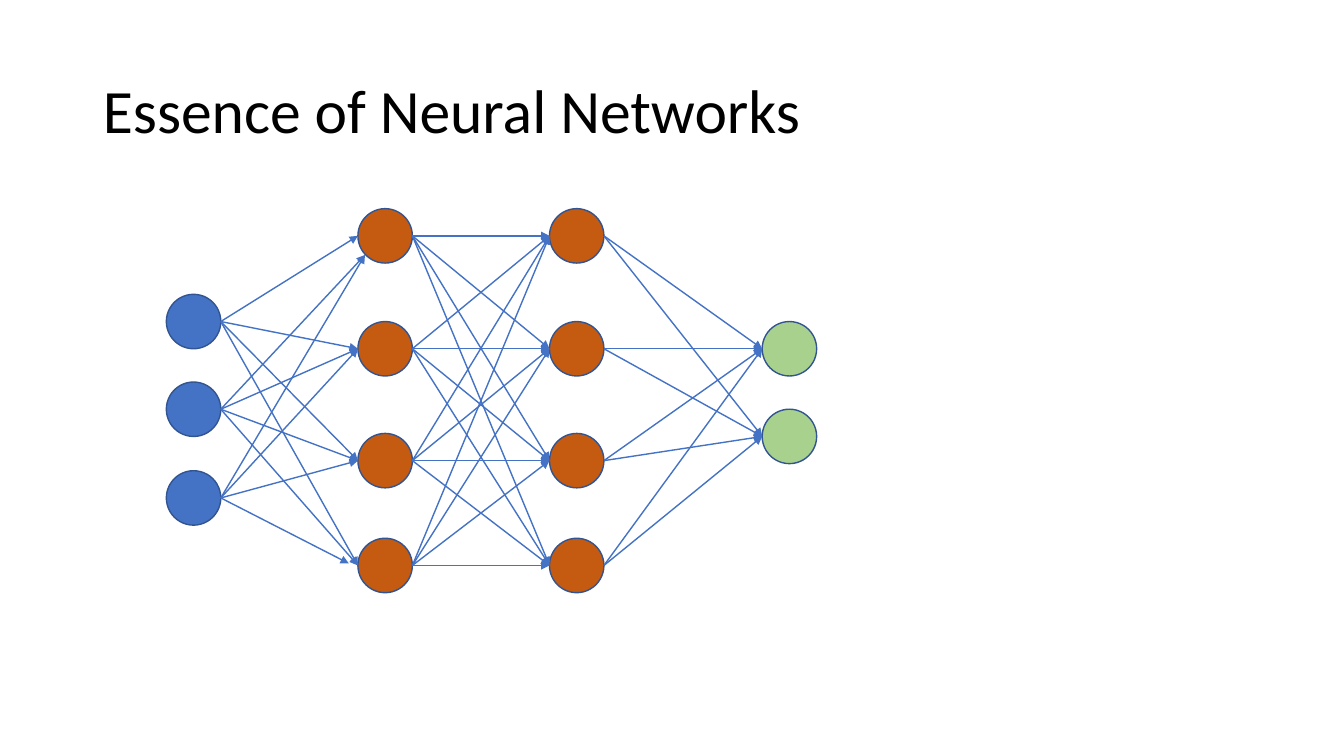
from dataclasses import dataclass
from itertools import pairwise, product

from lxml import etree
from pptx import Presentation
from pptx import util as u
from pptx.dml.color import RGBColor
from pptx.enum import shapes, text
from pptx.oxml.ns import qn

PX = 9144  # EMU in one px, 100 px to the inch


@dataclass(frozen=True)
class Theme:
    font: str = "Calibri"
    title_size: int = 44
    line_width: int = 1
    title: str = "000000"
    input: str = "4472C4"
    hidden: str = "C55A11"
    output: str = "A9D18E"
    outline: str = "325491"
    arrow: str = "4472C4"


THEME = Theme()
DIAMETER = 54
RADIUS = DIAMETER // 2

# Each layer: left edge, top of every neuron, fill
LAYERS = [
    (165, (292, 379, 467), THEME.input),
    (355, (207, 319, 430, 534), THEME.hidden),
    (545, (207, 319, 430, 534), THEME.hidden),
    (756, (319, 406), THEME.output),
]

# Arrows that end away from the left side: (layer, source, target) -> point
SPECIAL_ENDS = {
    (0, 1, 0): (362, 253),
    (0, 2, 0): (362, 253),
    (0, 2, 3): (346, 559),
}


def px(*lengths):
    return [u.Emu(length * PX) for length in lengths]


def color(value):
    return RGBColor.from_string(value)


def set_title(slide, words):
    title = slide.shapes.title
    title.left, title.top, title.width, title.height = px(92, 40, 1150, 145)
    frame = title.text_frame
    frame.text = words
    frame.word_wrap = True
    frame.auto_size = text.MSO_AUTO_SIZE.NONE
    frame.vertical_anchor = text.MSO_ANCHOR.MIDDLE
    paragraph = frame.paragraphs[0]
    paragraph.alignment = text.PP_ALIGN.LEFT
    paragraph.line_spacing = 0.9
    font = paragraph.runs[0].font
    font.name = THEME.font
    font.size = u.Pt(THEME.title_size)
    font.color.rgb = color(THEME.title)


def add_neuron(slide, left, top, fill):
    neuron = slide.shapes.add_shape(
        shapes.MSO_SHAPE.OVAL, *px(left, top, DIAMETER, DIAMETER))
    neuron.shadow.inherit = False
    neuron.fill.solid()
    neuron.fill.fore_color.rgb = color(fill)
    neuron.line.color.rgb = color(THEME.outline)
    neuron.line.width = u.Pt(THEME.line_width)


def add_arrow(slide, start, end):
    arrow = slide.shapes.add_connector(
        shapes.MSO_CONNECTOR.STRAIGHT, *px(*start, *end))
    arrow.line.color.rgb = color(THEME.arrow)
    arrow.line.width = u.Pt(THEME.line_width)
    properties = arrow.element.spPr
    line = properties.find(qn("a:ln"))
    etree.SubElement(line, qn("a:tailEnd"), type="triangle")
    etree.SubElement(properties, qn("a:effectLst"))


def connect_layers(slide, index, layer, next_layer):
    left, tops, _ = layer
    next_left, next_tops, _ = next_layer
    pairs = product(enumerate(tops), enumerate(next_tops))
    for (source, top), (target, next_top) in pairs:
        start = (left + DIAMETER, top + RADIUS)
        side = (next_left, next_top + RADIUS)
        end = SPECIAL_ENDS.get((index, source, target), side)
        add_arrow(slide, start, end)


def main():
    presentation = Presentation()
    presentation.slide_width, presentation.slide_height = px(1333, 750)
    title_only = presentation.slide_layouts[5]
    slide = presentation.slides.add_slide(title_only)
    set_title(slide, "Essence of Neural Networks")

    # Neurons
    for left, tops, fill in LAYERS:
        for top in tops:
            add_neuron(slide, left, top, fill)

    # Arrows between neighbouring layers
    for index, (layer, next_layer) in enumerate(pairwise(LAYERS)):
        connect_layers(slide, index, layer, next_layer)

    presentation.save("out.pptx")


if __name__ == "__main__":
    main()
